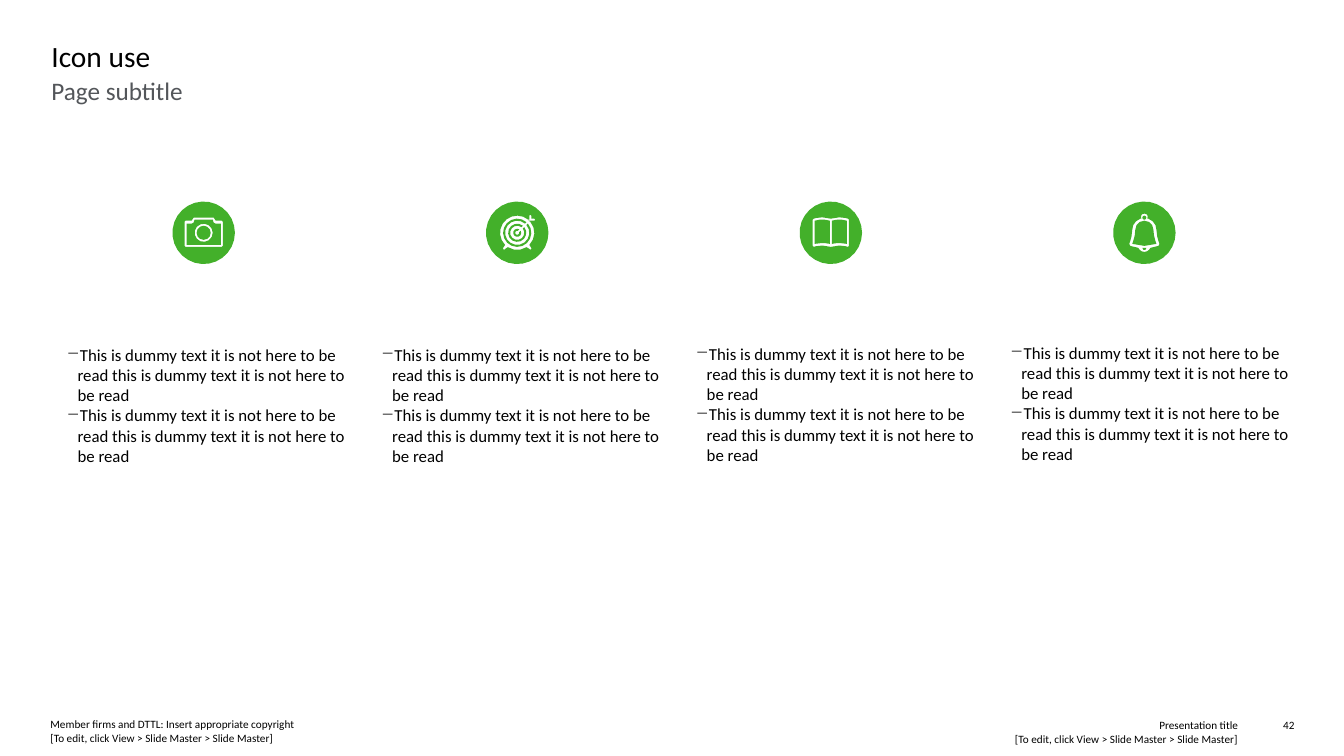
from dataclasses import dataclass
from math import asin, cos, degrees, radians, sin

from lxml import etree
from pptx import Presentation
from pptx.dml.color import RGBColor
from pptx.enum.text import MSO_ANCHOR, MSO_AUTO_SIZE, PP_ALIGN
from pptx.oxml.ns import qn
from pptx.util import Inches, Pt

LEFT, RIGHT = PP_ALIGN.LEFT, PP_ALIGN.RIGHT
TOP = MSO_ANCHOR.TOP
NO_AUTOFIT = MSO_AUTO_SIZE.NONE

BLACK = RGBColor(0x00, 0x00, 0x00)
GREY = RGBColor(0x53, 0x56, 0x5A)
GREEN = RGBColor(0x43, 0xB0, 0x2A)
FONT = "Calibri"

DUMMY = "This is dummy text it is not here to be read this is dummy text it is not here to be read"
EDIT_HINT = "[To edit, click View > Slide Master > Slide Master]"

ICON_RADIUS = 0.31
ICON_CENTRE_X, ICON_CENTRE_Y, ICON_PITCH = 2.02, 2.31, 3.11
TEXT_LEFT, TEXT_PITCH, TEXT_WIDTH, TEXT_HEIGHT = 0.52, 3.12, 2.97, 3.54

Point = tuple[float, float]
Contour = list[Point]


@dataclass
class Label:
    text: str
    left: float
    top: float
    width: float
    height: float
    size: float
    color: RGBColor = BLACK
    align: PP_ALIGN = LEFT


@dataclass
class IconColumn:
    cutouts: list[Contour]
    text_top: float


def arc(radius: float, start: float = 0, end: float = 360, cy: float = 0) -> Contour:
    steps = max(3, round(abs(end - start) / 360 * (8 + 60 * radius)))
    angles = [radians(start + (end - start) * i / steps) for i in range(steps + 1)]
    return [(radius * cos(a), cy + radius * sin(a)) for a in angles]


def curve(p0: Point, p1: Point, p2: Point, p3: Point, steps: int = 3) -> Contour:
    points = []
    for i in range(steps + 1):
        t = i / steps
        weights = ((1 - t) ** 3, 3 * t * (1 - t) ** 2, 3 * t**2 * (1 - t), t**3)
        points.append(tuple(
            sum(w * p[axis] for w, p in zip(weights, (p0, p1, p2, p3))) for axis in (0, 1)
        ))
    return points


def flipped(half: Contour) -> Contour:
    return [(-x, y) for x, y in reversed(half)]


def mirrored(half: Contour) -> Contour:
    return half + flipped(half)


def split_ring(outer: float, inner: float, shaft: float = 0.01) -> Contour:
    outer_gap, inner_gap = (degrees(asin(shaft / r)) for r in (outer, inner))
    return (arc(outer, outer_gap - 45, 315 - outer_gap)
            + arc(inner, 315 - inner_gap, inner_gap - 45))


def camera() -> list[Contour]:
    body = [(0.09, -0.15), (0.1, -0.15), (0.12, -0.12), (0.18, -0.12),
            (0.19, -0.11), (0.19, 0.13), (0.18, 0.14)]
    panel = [(0.09, -0.13), (0.1, -0.1), (0.12, -0.09), (0.17, -0.09), (0.17, 0.12)]
    return [mirrored(body), mirrored(panel), arc(0.09), arc(0.07)]


def target() -> list[Contour]:
    arrow = [(0.11, -0.12), (0.14, -0.12), (0.17, -0.12), (0.18, -0.13), (0.17, -0.14),
             (0.14, -0.14), (0.14, -0.17), (0.13, -0.18), (0.12, -0.17), (0.12, -0.13)]
    left_foot = [(-0.14, 0.15), (-0.14, 0.16), (-0.13, 0.17), (-0.12, 0.16)]
    silhouette = (arrow + arc(0.17, -50, -225) + left_foot + arc(0.17, -237, -303)
                  + flipped(left_foot) + arc(0.17, -315, -400))
    return [silhouette, split_ring(0.14, 0.12), split_ring(0.09, 0.07),
            split_ring(0.04, 0.02)]


def book() -> list[Contour]:
    cover = (curve((0, -0.14), (0.09, -0.17), (0.17, -0.14), (0.17, -0.14))
             + [(0.18, -0.13), (0.18, 0.13)]
             + curve((0.17, 0.14), (0.17, 0.14), (0.09, 0.11), (0, 0.14)))
    page = (curve((0.01, -0.12), (0.05, -0.13), (0.1, -0.14), (0.16, -0.12))
            + curve((0.16, 0.11), (0.1, 0.1), (0.05, 0.1), (0.01, 0.11)))
    return [mirrored(cover), page, flipped(page)]


def bell() -> list[Contour]:
    outline = (curve((0, -0.19), (0.03, -0.19), (0.04, -0.17), (0.03, -0.14))
               + curve((0.04, -0.14), (0.09, -0.12), (0.12, -0.08), (0.12, -0.03))
               + curve((0.12, -0.03), (0.12, 0.04), (0.15, 0.11), (0.15, 0.11))
               + [(0.14, 0.13)]
               + curve((0.06, 0.15), (0.05, 0.17), (0.03, 0.19), (0, 0.19)))
    body = (curve((0, -0.12), (0.05, -0.12), (0.09, -0.08), (0.09, -0.03))
            + curve((0.09, -0.03), (0.09, 0.03), (0.11, 0.08), (0.12, 0.11))
            + [(0.06, 0.12), (0, 0.13)])
    clapper = [(0.02, 0.15), (0.01, 0.17)]
    return [mirrored(outline), mirrored(body), mirrored(clapper), arc(0.02, cy=-0.15)]


def draw_icon(slide, cutouts: list[Contour], centre_x: float) -> None:
    contours = [[(Inches(x), Inches(y)) for x, y in contour]
                for contour in [arc(ICON_RADIUS), *cutouts]]
    disc, *holes = contours
    builder = slide.shapes.build_freeform(*disc[0])
    builder.add_line_segments(disc[1:], close=True)
    for hole in holes:
        builder.move_to(*hole[0])
        builder.add_line_segments(hole[1:], close=True)
    icon = builder.convert_to_shape(Inches(centre_x), Inches(ICON_CENTRE_Y))
    icon.shadow.inherit = False
    icon.fill.solid()
    icon.fill.fore_color.rgb = GREEN
    icon.line.fill.background()


def fill_label(shape, label: Label) -> None:
    shape.left, shape.top = Inches(label.left), Inches(label.top)
    shape.width, shape.height = Inches(label.width), Inches(label.height)
    frame = shape.text_frame
    frame.text = label.text
    frame.word_wrap = True
    frame.auto_size = NO_AUTOFIT
    frame.vertical_anchor = TOP
    frame.margin_left = frame.margin_right = frame.margin_top = frame.margin_bottom = 0
    for paragraph in frame.paragraphs:
        paragraph.alignment = label.align
        for run in paragraph.runs:
            run.font.name = FONT
            run.font.size = Pt(label.size)
            run.font.color.rgb = label.color


def add_label(slide, label: Label):
    box = slide.shapes.add_textbox(0, 0, 0, 0)
    fill_label(box, label)
    return box


def add_dashes(box) -> None:
    for paragraph in box.text_frame.paragraphs:
        properties = paragraph._p.get_or_add_pPr()
        properties.set("marL", str(Inches(0.25)))
        properties.set("indent", str(Inches(-0.11)))
        etree.SubElement(properties, qn("a:buChar")).set("char", "−")


def main() -> None:
    presentation = Presentation()
    presentation.slide_width, presentation.slide_height = Inches(13.33), Inches(7.5)
    slide = presentation.slides.add_slide(presentation.slide_layouts[5])

    fill_label(slide.shapes.title, Label("Icon use", 0.51, 0.38, 12.33, 0.37, 21))
    for label in (
        Label("Page subtitle", 0.51, 0.75, 12.33, 0.83, 18, GREY),
        Label(f"Member firms and DTTL: Insert appropriate copyright\v{EDIT_HINT}",
              0.5, 7.12, 5.86, 0.27, 8),
        Label(f"Presentation title\v{EDIT_HINT}", 6.93, 7.13, 5.35, 0.27, 8, align=RIGHT),
        Label("42", 12.5, 7.13, 0.34, 0.13, 8, align=RIGHT),
    ):
        add_label(slide, label)

    columns = [IconColumn(camera(), 3.42), IconColumn(target(), 3.42),
               IconColumn(book(), 3.41), IconColumn(bell(), 3.4)]
    for index, column in enumerate(columns):
        draw_icon(slide, column.cutouts, ICON_CENTRE_X + index * ICON_PITCH)
        add_dashes(add_label(slide, Label(
            f"{DUMMY}\n{DUMMY}", TEXT_LEFT + index * TEXT_PITCH, column.text_top,
            TEXT_WIDTH, TEXT_HEIGHT, 12)))

    presentation.save("out.pptx")


if __name__ == "__main__":
    main()
